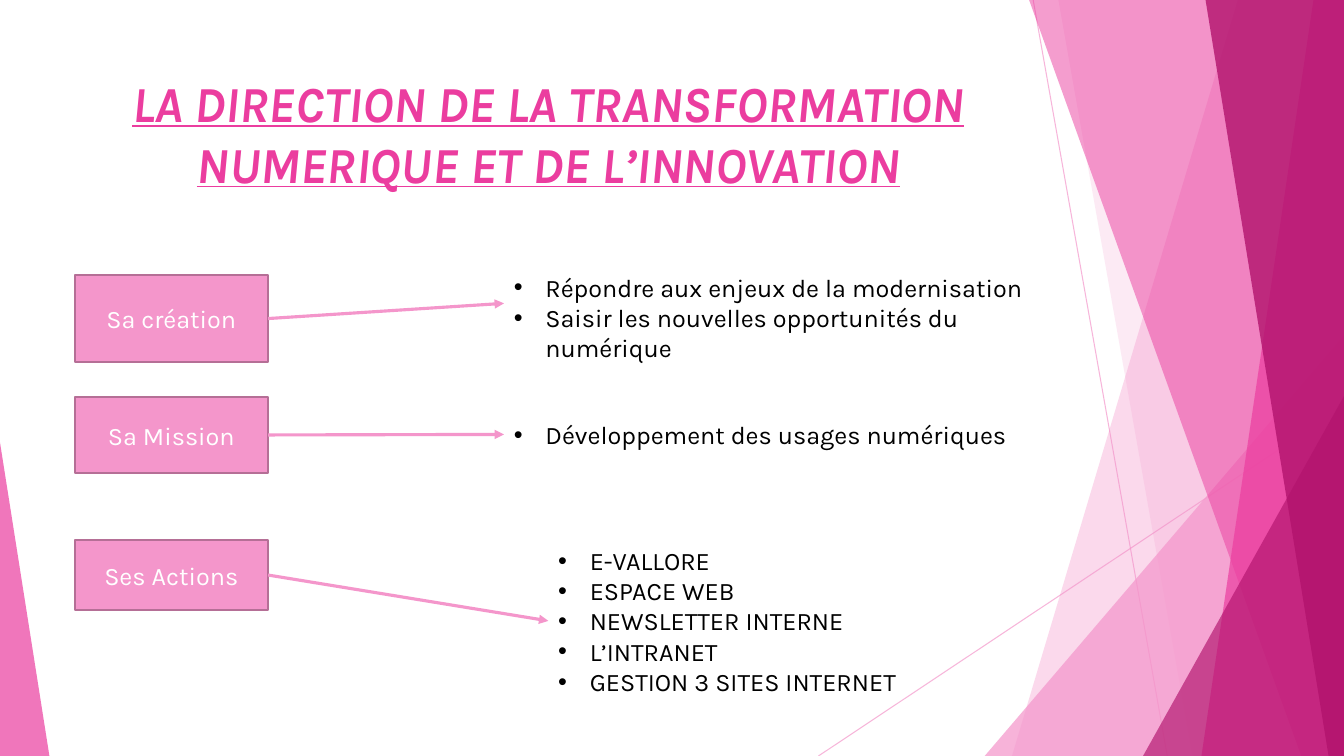
import pptx
import pptx.util
import pptx.dml.color
import pptx.enum.shapes
import pptx.enum.text
import pptx.oxml.ns
from lxml import etree

Pt = pptx.util.Pt
RGBColor = pptx.dml.color.RGBColor
SHAPES = pptx.enum.shapes.MSO_SHAPE
ANCHOR = pptx.enum.text.MSO_ANCHOR
ALIGN = pptx.enum.text.PP_ALIGN
qn = pptx.oxml.ns.qn

WHITE = RGBColor(0xFF, 0xFF, 0xFF)
BLACK = RGBColor(0, 0, 0)
LIGHT_PINK = RGBColor(0xF4, 0x96, 0xCB)
PINK = RGBColor(0xEB, 0x3D, 0x9F)
MAGENTA = RGBColor(0xB2, 0x13, 0x6D)
MAUVE = RGBColor(0xB5, 0x6F, 0x96)
FONT = "Karla"
WIDTH, HEIGHT = 960, 540

TOPICS = [
    ("Sa création", (53.3, 196.6, 138.2, 61.9), (360, 190.8, 417.6, 51.1), 216.7,
     ["Répondre aux enjeux de la modernisation",
      "Saisir les nouvelles opportunités du numérique"]),
    ("Sa Mission", (53.3, 283.7, 138.2, 54), (360, 295.9, 406.1, 28.8), 310.3,
     ["Développement des usages numériques"]),
    ("Ses Actions", (53.3, 385.9, 138.2, 49.7), (391.7, 385.9, 321.1, 116.6), 443.5,
     ["E-VALLORE", "ESPACE WEB", "NEWSLETTER INTERNE", "L’INTRANET",
      "GESTION 3 SITES INTERNET"]),
]


def add_alpha(color_format_element, percent):
    """Make the solid colour below an element partly transparent."""
    color = color_format_element.find(".//" + qn("a:srgbClr"))
    etree.SubElement(color, qn("a:alpha")).set("val", str(percent * 1000))


def write_text(frame, lines, size=18, color=BLACK, align=ALIGN.LEFT,
               anchor=ANCHOR.TOP, bullet=False, emphasis=False):
    """Fill a text frame with one formatted paragraph per line."""
    frame.word_wrap = True
    frame.auto_size = pptx.enum.text.MSO_AUTO_SIZE.NONE
    frame.vertical_anchor = anchor
    for index, line in enumerate(lines):
        paragraph = frame.paragraphs[0] if index == 0 else frame.add_paragraph()
        paragraph.alignment = align
        paragraph.line_spacing = 1.0
        paragraph.space_before = Pt(0)
        run = paragraph.add_run()
        run.text = line
        font = run.font
        font.name, font.size, font.color.rgb = FONT, Pt(size), color
        if emphasis:
            font.bold = font.italic = font.underline = True
        if bullet:
            properties = paragraph._p.get_or_add_pPr()
            properties.set("marL", str(Pt(22.5)))
            properties.set("indent", str(Pt(-22.5)))
            etree.SubElement(properties, qn("a:buFont")).set("typeface", "Arial")
            etree.SubElement(properties, qn("a:buChar")).set("char", "•")


def paint(shape, color, alpha=None, outline=None):
    """Give a shape its fill and outline, without a shadow."""
    shape.shadow.inherit = False
    shape.fill.solid()
    shape.fill.fore_color.rgb = color
    if alpha:
        add_alpha(shape._element.spPr, alpha)
    if outline:
        shape.line.color.rgb = outline
        shape.line.width = Pt(1.5)
    else:
        shape.line.fill.background()


def add_line(slide, start, end, width, alpha=None, arrow=False):
    """Draw a light pink line, optionally with an arrowhead at its end."""
    line = slide.shapes.add_connector(
        pptx.enum.shapes.MSO_CONNECTOR.STRAIGHT, *map(Pt, start + end))
    line.line.color.rgb = LIGHT_PINK
    line.line.width = Pt(width)
    if alpha:
        add_alpha(line._element.spPr, alpha)
    if arrow:
        etree.SubElement(line.line._get_or_add_ln(), qn("a:tailEnd")).set("type", "triangle")
    etree.SubElement(line._element.spPr, qn("a:effectLst"))


def add_facet(slide, top_left, bottom_left, right, bottom, color, alpha):
    """Draw a translucent band from a slanted left edge to the right side."""
    builder = slide.shapes.build_freeform(Pt(top_left), 0)
    corners = [(right, 0), (right, bottom), (bottom_left, bottom)]
    builder.add_line_segments([(Pt(x), Pt(y)) for x, y in corners])
    paint(builder.convert_to_shape(), color, alpha)


def add_corner(slide, left, top, right, bottom, apex, color, alpha):
    """Draw a translucent right triangle whose apex is at one side."""
    corner = slide.shapes.add_shape(
        SHAPES.ISOSCELES_TRIANGLE, Pt(left), Pt(top), Pt(right - left), Pt(bottom - top))
    corner.adjustments[0] = apex
    paint(corner, color, alpha)


def add_backdrop(slide, right, bottom):
    """Draw the pink facets along the sides of the slide."""
    add_line(slide, (738, 0), (833.8, bottom), 0.75, alpha=70)
    add_line(slide, (right, 290.2), (584.6, bottom), 0.75, alpha=70)
    add_facet(slide, 884.2, 722.9, right, bottom, LIGHT_PINK, 36)
    add_facet(slide, 756, 851.8, right, bottom, LIGHT_PINK, 20)
    add_corner(slide, 703.4, 239.8, right, bottom, 1, LIGHT_PINK, 72)
    add_facet(slide, 735.1, 929.5, right, bottom, PINK, 50)
    add_facet(slide, 938.2, 858.2, right, bottom, PINK, 70)
    add_facet(slide, 861.1, 949, right, bottom, MAGENTA, 80)
    add_corner(slide, 816.5, 283, right, bottom, 1, MAGENTA, 66)
    add_corner(slide, 0, 316.1, 35.3, bottom, 0, PINK, 70)


def add_title(slide, left, top, width, height):
    """Place and format the slide title."""
    title = slide.shapes.title
    title.left, title.top, title.width, title.height = map(Pt, (left, top, width, height))
    write_text(title.text_frame,
               ["LA DIRECTION DE LA TRANSFORMATION NUMERIQUE ET DE L’INNOVATION"],
               size=36, color=PINK, align=ALIGN.CENTER, emphasis=True)


def add_topic(slide, label, label_box, points_box, arrow_y, points):
    """Draw a labelled box with an arrow to its bulleted points."""
    left, top, width, height = label_box
    box = slide.shapes.add_shape(SHAPES.RECTANGLE, *map(Pt, label_box))
    paint(box, LIGHT_PINK, outline=MAUVE)
    write_text(box.text_frame, [label], color=WHITE, align=ALIGN.CENTER,
               anchor=ANCHOR.MIDDLE)
    details = slide.shapes.add_textbox(*map(Pt, points_box))
    write_text(details.text_frame, points, bullet=True)
    add_line(slide, (left + width, top + height / 2), (points_box[0], arrow_y),
             2.25, arrow=True)


def main():
    """Build and save the presentation."""
    presentation = pptx.Presentation()
    presentation.slide_width, presentation.slide_height = Pt(WIDTH), Pt(HEIGHT)
    slide = presentation.slides.add_slide(presentation.slide_layouts[5])
    add_backdrop(slide, WIDTH, HEIGHT)
    add_title(slide, 53.3, 48.2, 676.8, 103.7)
    for topic in TOPICS:
        add_topic(slide, *topic)
    presentation.save("out.pptx")


if __name__ == "__main__":
    main()
